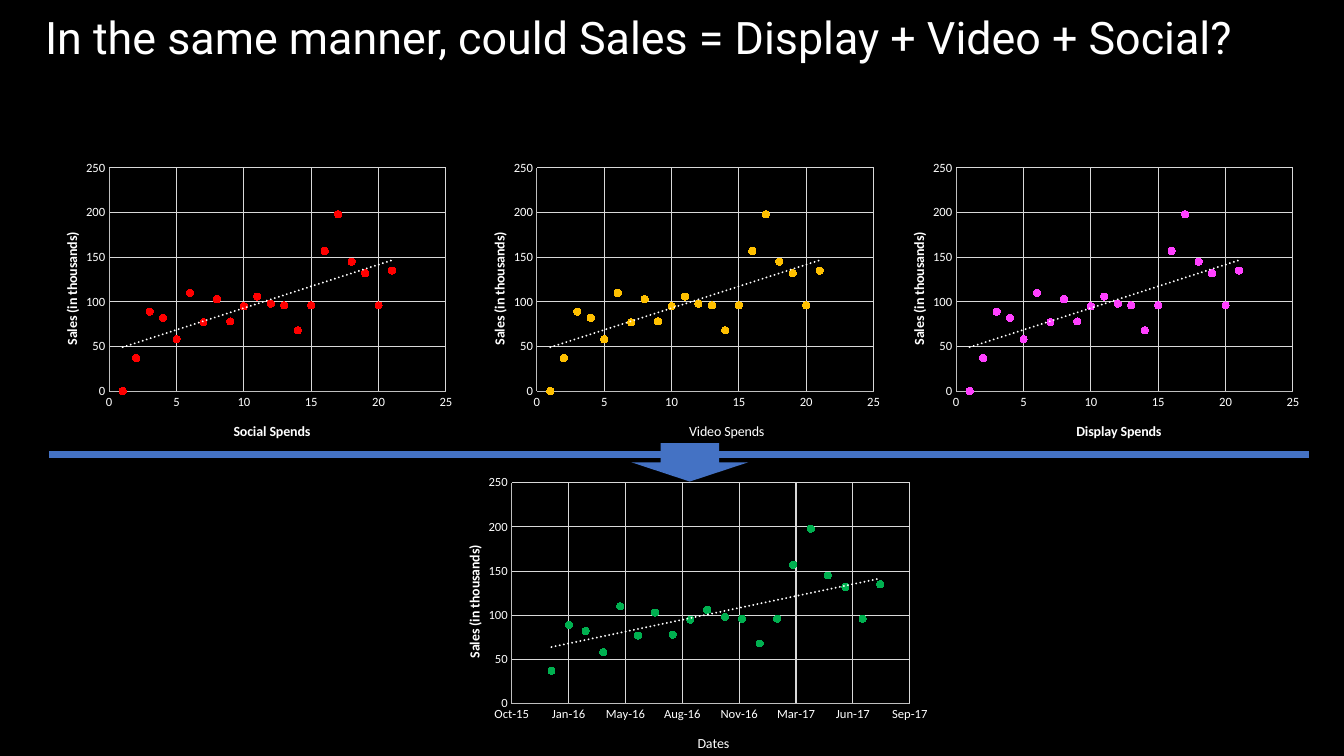
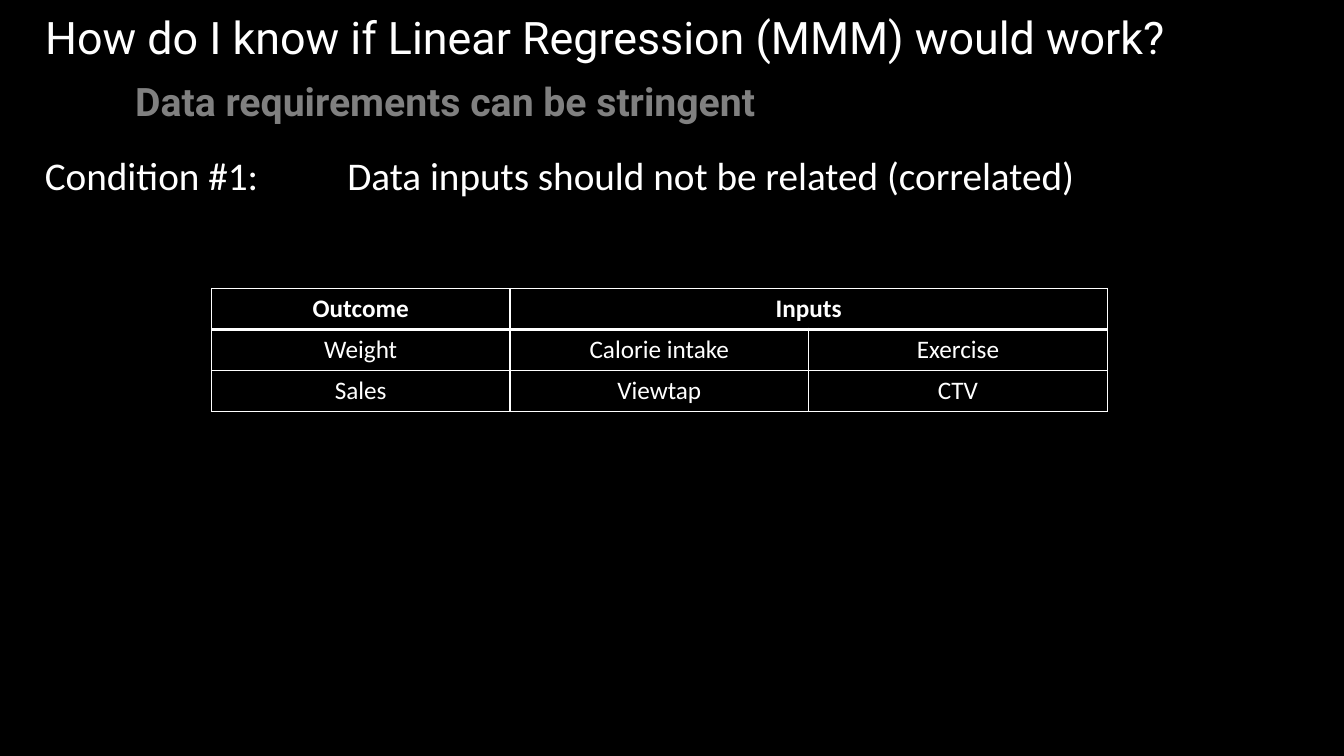
from itertools import accumulate

from pptx import Presentation
from pptx.chart.data import XyChartData
from pptx.dml.color import RGBColor
from pptx.enum.chart import XL_CHART_TYPE, XL_MARKER_STYLE, XL_TICK_MARK
from pptx.enum.shapes import MSO_CONNECTOR, MSO_SHAPE
from pptx.enum.text import MSO_ANCHOR, PP_ALIGN
from pptx.oxml import parse_xml
from pptx.oxml.ns import nsdecls, qn
from pptx.util import Pt

BLACK = RGBColor(0x00, 0x00, 0x00)
WHITE = RGBColor(0xFF, 0xFF, 0xFF)
GRAY = RGBColor(0x80, 0x80, 0x80)
AXIS_GRAY = RGBColor(0xBF, 0xBF, 0xBF)
GRID_GRAY = RGBColor(0xD9, 0xD9, 0xD9)
BLUE = RGBColor(0x44, 0x72, 0xC4)
RED = RGBColor(0xFF, 0x00, 0x00)
AMBER = RGBColor(0xFF, 0xC0, 0x00)
PINK = RGBColor(0xFF, 0x40, 0xFF)
GREEN = RGBColor(0x00, 0xB0, 0x50)

HEADING_FONT = "Roboto"
BODY_FONT = "Calibri"
TITLE_ONLY = 5

SALES = [0, 37, 89, 82, 58, 110, 77, 103, 78, 95, 106,
         98, 96, 68, 96, 157, 198, 145, 132, 96, 135]
WEEKS = list(range(1, len(SALES) + 1))
# Serial day numbers of the first of each month, from January 2016
MONTH_LENGTHS = [31, 29, 31, 30, 31, 30, 31, 31, 30, 31, 30, 31,
                 31, 28, 31, 30, 31, 30, 31]
MONTH_STARTS = list(accumulate(MONTH_LENGTHS, initial=42370))


def apply(target, **values):
    for name, value in values.items():
        setattr(target, name, value)


def style_font(font, color=WHITE, **values):
    apply(font, **values)
    font.color.rgb = color


def style_line(line, color, width):
    line.color.rgb = color
    line.width = Pt(width)


def place_in_chart(element, chart_size, left, top, size=None):
    """Fix a plot area or axis title at a place in the chart, in points."""
    for old_layout in element.findall(qn("c:layout")):
        element.remove(old_layout)
    width, height = chart_size
    entries = [("xMode", "edge"), ("yMode", "edge")]
    values = [("x", left / width), ("y", top / height)]
    if size:
        entries.insert(0, ("layoutTarget", "inner"))
        values += [("w", size[0] / width), ("h", size[1] / height)]
    parts = "".join(f'<c:{name} val="{value}"/>' for name, value in entries + values)
    layout = parse_xml(f'<c:layout {nsdecls("c")}><c:manualLayout>{parts}'
                       "</c:manualLayout></c:layout>")
    element.insert(len(element.findall(qn("c:tx"))), layout)


def clear_chart_background(chart_element, plot_area):
    no_fill = (f'<c:spPr {nsdecls("c", "a")}><a:noFill/>'
               "<a:ln><a:noFill/></a:ln></c:spPr>")
    chart_element.addnext(parse_xml(no_fill))
    plot_area.append(parse_xml(no_fill))


def add_trend_line(series):
    trend = parse_xml(
        f'<c:trendline {nsdecls("c", "a")}><c:spPr><a:ln w="{Pt(1.5)}" cap="rnd">'
        f'<a:solidFill><a:srgbClr val="{WHITE}"/></a:solidFill>'
        '<a:prstDash val="sysDot"/></a:ln></c:spPr>'
        '<c:trendlineType val="linear"/><c:dispRSqr val="0"/>'
        '<c:dispEq val="0"/></c:trendline>')
    series._element.find(qn("c:xVal")).addprevious(trend)


def set_cell_borders(cell, top, bottom):
    widths = {"lnL": 1, "lnR": 1, "lnT": top, "lnB": bottom}
    properties = cell._tc.get_or_add_tcPr()
    for index, (side, width) in enumerate(widths.items()):
        properties.insert(index, parse_xml(
            f'<a:{side} {nsdecls("a")} w="{Pt(width)}"><a:solidFill>'
            f'<a:srgbClr val="{WHITE}"/></a:solidFill></a:{side}>'))


class Deck:
    """Holds the shared style and the slide being filled."""

    def __init__(self):
        self.presentation = Presentation()
        apply(self.presentation, slide_width=Pt(960), slide_height=Pt(540))
        fill = self.presentation.slide_master.background.fill
        fill.solid()
        fill.fore_color.rgb = BLACK
        self.slide = None

    def add_slide(self, title):
        layout = self.presentation.slide_layouts[TITLE_ONLY]
        self.slide = self.presentation.slides.add_slide(layout)
        shape = self.slide.shapes.title
        apply(shape, left=Pt(25), top=Pt(3), width=Pt(934), height=Pt(64))
        self.fill_text(shape, title, PP_ALIGN.LEFT, name=HEADING_FONT, size=Pt(32))

    def fill_text(self, shape, text, alignment, color=WHITE, **font_values):
        frame = shape.text_frame
        apply(frame, text=text, word_wrap=True, vertical_anchor=MSO_ANCHOR.TOP,
              margin_left=Pt(7.2), margin_right=Pt(7.2))
        paragraph = frame.paragraphs[0]
        paragraph.alignment = alignment
        style_font(paragraph.runs[0].font, color, **font_values)
        return paragraph

    def add_subtitle(self, text):
        box = self.slide.shapes.add_textbox(Pt(38), Pt(48), Pt(567), Pt(42))
        self.fill_text(box, text, PP_ALIGN.CENTER, GRAY,
                       name=HEADING_FONT, size=Pt(28), bold=True)
        apply(box.text_frame, margin_top=Pt(7.2), margin_right=Pt(14.4))

    def add_condition(self, label, text):
        box = self.slide.shapes.add_textbox(Pt(25), Pt(104.5), Pt(852), Pt(41))
        paragraph = self.fill_text(box, f"{label}\t{text}", PP_ALIGN.LEFT,
                                   name=BODY_FONT, size=Pt(28))
        paragraph._p.get_or_add_pPr().append(parse_xml(
            f'<a:tabLst {nsdecls("a")}><a:tab pos="{Pt(216)}" algn="l"/></a:tabLst>'))

    def add_scatter(self, place, color, x_values, y_values, x_title, x_scale,
                    number_format="General", x_bold=True):
        """x_title is (text, left, top); x_scale is (minimum, maximum, step)."""
        data = XyChartData()
        points = data.add_series("Sales")
        for x, y in zip(x_values, y_values):
            points.add_data_point(x, y)
        chart = self.slide.shapes.add_chart(
            XL_CHART_TYPE.XY_SCATTER, *map(Pt, place), data).chart
        apply(chart, has_title=False, has_legend=False)
        style_font(chart.font, name=BODY_FONT, size=Pt(10))
        chart.plots[0].vary_by_categories = False

        series = chart.plots[0].series[0]
        series.format.line.fill.background()
        apply(series.marker, style=XL_MARKER_STYLE.CIRCLE, size=5)
        series.marker.format.fill.solid()
        series.marker.format.fill.fore_color.rgb = color
        style_line(series.marker.format.line, color, 0.75)
        add_trend_line(series)

        size = place[2:]
        chart_element = chart._chartSpace.find(qn("c:chart"))
        plot_area = chart_element.find(qn("c:plotArea"))
        place_in_chart(plot_area, size, 53, 9, (size[0] * 0.79, 159.5))
        self.style_axis(chart.category_axis, size, x_title, x_scale,
                        number_format, x_bold)
        self.style_axis(chart.value_axis, size, ("Sales (in thousands)", 18, 53),
                        (0, 250, 50), rotation=-90)
        clear_chart_background(chart_element, plot_area)

    def style_axis(self, axis, chart_size, title, scale, number_format="General",
                   bold=True, rotation=0):
        minimum, maximum, step = scale
        apply(axis, minimum_scale=minimum, maximum_scale=maximum, major_unit=step,
              has_major_gridlines=True, major_tick_mark=XL_TICK_MARK.NONE,
              minor_tick_mark=XL_TICK_MARK.NONE)
        style_line(axis.format.line, AXIS_GRAY, 0.75)
        style_line(axis.major_gridlines.format.line, GRID_GRAY, 0.75)
        apply(axis.tick_labels, number_format=number_format,
              number_format_is_linked=False)
        style_font(axis.tick_labels.font, name=BODY_FONT, size=Pt(9))

        text, left, top = title
        frame = axis.axis_title.text_frame
        frame.text = text
        style_font(frame.paragraphs[0].runs[0].font, name=BODY_FONT,
                   size=Pt(10), bold=bold)
        body = frame._txBody.find(qn("a:bodyPr"))
        body.set("rot", str(rotation * 60000))
        body.set("vert", "horz")
        place_in_chart(axis.axis_title._element, chart_size, left, top)

    def add_divider(self, left, right, y):
        line = self.slide.shapes.add_connector(
            MSO_CONNECTOR.STRAIGHT, Pt(left), Pt(y), Pt(right), Pt(y))
        style_line(line.line, BLUE, 5)
        line._element.spPr.append(parse_xml(f'<a:effectLst {nsdecls("a")}/>'))

    def add_down_arrow(self, *place):
        arrow = self.slide.shapes.add_shape(MSO_SHAPE.DOWN_ARROW, *map(Pt, place))
        arrow.shadow.inherit = False
        arrow.fill.solid()
        arrow.fill.fore_color.rgb = BLUE
        arrow.line.fill.background()

    def add_table(self, place, rows):
        """A None entry is merged into the cell to its left."""
        table = self.slide.shapes.add_table(
            len(rows), len(rows[0]), *map(Pt, place)).table
        table.horz_banding = False
        for row_index, row in enumerate(rows):
            for column_index, text in enumerate(row):
                cell = table.cell(row_index, column_index)
                cell.fill.background()
                set_cell_borders(cell, top=3 if row_index == 1 else 1,
                                 bottom=3 if row_index == 0 else 1)
                if text is None:
                    table.cell(row_index, column_index - 1).merge(cell)
                    continue
                cell.text = text
                paragraph = cell.text_frame.paragraphs[0]
                paragraph.alignment = PP_ALIGN.CENTER
                style_font(paragraph.runs[0].font, name=BODY_FONT,
                           size=Pt(18), bold=row_index == 0)


def add_sales_slide(deck):
    deck.add_slide("In the same manner, could Sales = Display + Video + Social?")
    deck.add_scatter((312.5, 336, 360, 204), GREEN, MONTH_STARTS, SALES[1:],
                     ("Dates", 184, 189), (42300, 43000, 100), "mmm-yy", False)
    spends = [("Social", 25, 140, RED, True),
              ("Video", 330.5, 160, AMBER, False),
              ("Display", 630, 137, PINK, True)]
    for channel, left, title_left, color, bold in spends:
        deck.add_scatter((left, 111, 304.5, 216), color, WEEKS, SALES,
                         (f"{channel} Spends", title_left, 189), (0, 25, 5),
                         x_bold=bold)
    deck.add_divider(35, 935, 324.5)
    deck.add_down_arrow(451, 316.5, 83.5, 27.5)


def add_condition_slide(deck):
    deck.add_slide("How do I know if Linear Regression (MMM) would work?")
    deck.add_condition("Condition #1:", "Data inputs should not be related (correlated)")
    deck.add_subtitle("Data requirements can be stringent")
    deck.add_table((151, 206, 640, 88), [
        ["Outcome", "Inputs", None],
        ["Weight", "Calorie intake", "Exercise"],
        ["Sales", "Viewtap", "CTV"],
    ])


def main():
    deck = Deck()
    add_sales_slide(deck)
    add_condition_slide(deck)
    deck.presentation.save("out.pptx")


if __name__ == "__main__":
    main()
